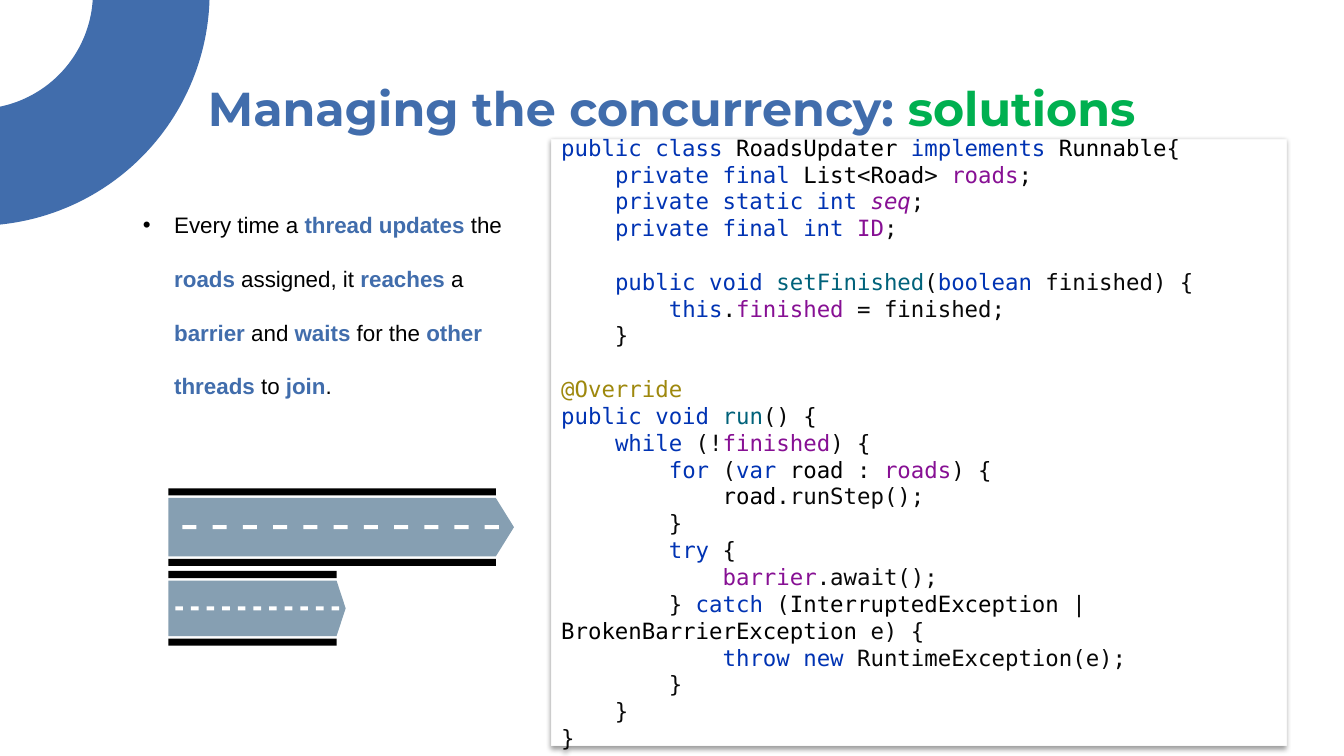
from lxml import etree
from pptx import Presentation
from pptx.dml.color import RGBColor
from pptx.enum.shapes import MSO_SHAPE
from pptx.enum.text import MSO_ANCHOR, PP_ALIGN
from pptx.oxml import parse_xml
from pptx.oxml.ns import nsdecls, qn
from pptx.util import Pt

PX = 4572  # 200 px to the inch
RECTANGLE = MSO_SHAPE.RECTANGLE
BLOCK_ARC = MSO_SHAPE.BLOCK_ARC
MIDDLE = MSO_ANCHOR.MIDDLE
CENTER = PP_ALIGN.CENTER

COLORS = {
    "blue": "416DAC", "green": "00B050", "black": "000000", "white": "FFFFFF",
    "asphalt": "869FB2", "frame": "F9F9F9", "plain": "080808", "keyword": "0033B3",
    "field": "871094", "static": "871094", "method": "00627A", "annotation": "9E880D",
}

# Each block is a list of lines, each line a list of (text, style) runs.
CODE_BLOCKS = [
    [
        [("public class ", "keyword"), ("RoadsUpdater ", "black"),
         ("implements ", "keyword"), ("Runnable", "black"), ("{", "plain")],
        [("    ", "plain"), ("private final ", "keyword"), ("List", "black"), ("<", "plain"),
         ("Road", "black"), ("> ", "plain"), ("roads", "field"), (";", "plain")],
        [("    ", "plain"), ("private static int ", "keyword"), ("seq", "static"), (";", "plain")],
        [("    ", "plain"), ("private final int ", "keyword"), ("ID", "field"), (";", "plain")],
    ],
    [
        [("    ", "plain"), ("public void ", "keyword"), ("setFinished", "method"),
         ("(", "plain"), ("boolean ", "keyword"), ("finished) {", "plain")],
        [("        ", "plain"), ("this", "keyword"), (".", "plain"),
         ("finished ", "field"), ("= finished;", "plain")],
        [("    }", "plain")],
    ],
    [
        [("@Override", "annotation")],
        [("public void ", "keyword"), ("run", "method"), ("() {", "plain")],
        [("    ", "plain"), ("while ", "keyword"), ("(!", "plain"),
         ("finished", "field"), (") {", "plain")],
        [("        ", "plain"), ("for ", "keyword"), ("(", "plain"), ("var ", "keyword"),
         ("road ", "black"), (": ", "plain"), ("roads", "field"), (") {", "plain")],
        [("            ", "plain"), ("road", "black"), (".runStep();", "plain")],
        [("        }", "plain")],
        [("        ", "plain"), ("try ", "keyword"), ("{", "plain")],
        [("            ", "plain"), ("barrier", "field"), (".await();", "plain")],
        [("        } ", "plain"), ("catch ", "keyword"), ("(", "plain"),
         ("InterruptedException ", "black"), ("| ", "plain"),
         ("BrokenBarrierException ", "black"), ("e) {", "plain")],
        [("            ", "plain"), ("throw new ", "keyword"),
         ("RuntimeException(e);", "plain")],
        [("        }", "plain")],
        [("    }", "plain")],
        [("}", "plain")],
    ],
]

BARRIER_NOTE = [
    ("Every time a ", "black"), ("thread updates", "blue"), (" the ", "black"),
    ("roads", "blue"), (" assigned, it ", "black"), ("reaches", "blue"), (" a ", "black"),
    ("barrier", "blue"), (" and ", "black"), ("waits", "blue"), (" for the ", "black"),
    ("other threads", "blue"), (" to ", "black"), ("join", "blue"), (".", "black"),
]


def rgb(name):
    return RGBColor.from_string(COLORS[name])


def emu(*lengths):
    return [length * PX for length in lengths]


def paint(shape, color):
    """Give a shape a flat fill with neither line nor shadow."""
    shape.shadow.inherit = False
    shape.fill.solid()
    shape.fill.fore_color.rgb = rgb(color)
    shape.line.fill.background()


def add_block(shapes, kind, box, color):
    shape = shapes.add_shape(kind, *emu(*box))
    paint(shape, color)
    return shape


def add_run(paragraph, text, color, font_name, size, bold=False, italic=False):
    run = paragraph.add_run()
    run.text = text
    run.font.name = font_name
    run.font.size = Pt(size)
    run.font.bold = bold
    run.font.italic = italic
    run.font.color.rgb = rgb(color)


def add_corner_arc(slide, box):
    arc = add_block(slide.shapes, BLOCK_ARC, box, "blue")
    arc.adjustments[0] = 0
    arc.adjustments[1] = 54  # quarter turn, in 100000ths of 1/60000 degree
    arc.adjustments[2] = 0.25


def add_title(slide, box):
    frame = slide.shapes.add_textbox(*emu(*box)).text_frame
    frame.word_wrap = True
    frame.vertical_anchor = MIDDLE
    paragraph = frame.paragraphs[0]
    paragraph.alignment = CENTER
    for text, color in [("Managing the concurrency: ", "blue"), ("solutions", "green")]:
        add_run(paragraph, text, color, "Montserrat", 34, bold=True)


def add_barrier_note(slide, box):
    frame = slide.shapes.add_textbox(*emu(*box)).text_frame
    frame.word_wrap = True
    paragraph = frame.paragraphs[0]
    paragraph.line_spacing = 2.0
    properties = paragraph._p.get_or_add_pPr()
    properties.set("marL", str(62 * PX))
    properties.set("indent", str(-62 * PX))
    bullet_color = etree.SubElement(properties, qn("a:buClr"))
    etree.SubElement(bullet_color, qn("a:srgbClr")).set("val", COLORS["black"])
    etree.SubElement(properties, qn("a:buFont")).set("typeface", "Arial")
    etree.SubElement(properties, qn("a:buChar")).set("char", "•")
    for text, color in BARRIER_NOTE:
        add_run(paragraph, text, color, "Arial", 16, bold=color == "blue")


def add_soft_shadow(shape):
    effects = shape._element.spPr.find(qn("a:effectLst"))
    effects.append(parse_xml(
        f'<a:outerShdw {nsdecls("a")} blurRad="39370" dist="20320" dir="5400000" rotWithShape="0">'
        f'<a:srgbClr val="{COLORS["black"]}"><a:alpha val="38000"/></a:srgbClr></a:outerShdw>'))


def add_code_panel(slide, box):
    panel = add_block(slide.shapes, RECTANGLE, box, "white")
    panel.line.color.rgb = rgb("frame")
    panel.line.width = Pt(0.75)
    add_soft_shadow(panel)
    frame = panel.text_frame
    frame.word_wrap = True
    frame.vertical_anchor = MIDDLE
    for block_index, block in enumerate(CODE_BLOCKS):
        paragraph = frame.add_paragraph() if block_index else frame.paragraphs[0]
        paragraph.alignment = PP_ALIGN.LEFT
        if block_index:
            paragraph.space_before = Pt(19)
        for line_index, line in enumerate(block):
            if line_index:
                paragraph.add_line_break()
            for text, style in line:
                add_run(paragraph, text, style, "DejaVu Sans Mono", 16, italic=style == "static")


def add_road(slide, box, tip, dash_margin, dash_width, dash_step):
    """Draw a road ending in a point, with an edge on each side and a dashed centre line."""
    left, top, width, height = box
    edge, gap, dash_height, dash_count = 14, 5, 8, 11
    shapes = slide.shapes.add_group_shape().shapes
    shoulder = left + width - tip
    surface_top = top + edge + gap
    surface_bottom = top + height - edge - gap
    middle = top + height // 2
    builder = shapes.build_freeform(left, surface_top, scale=PX)
    builder.add_line_segments([(left, surface_bottom), (shoulder, surface_bottom),
                               (left + width, middle), (shoulder, surface_top)])
    paint(builder.convert_to_shape(), "asphalt")
    for edge_top in (top, top + height - edge):
        add_block(shapes, RECTANGLE, (left, edge_top, width - tip, edge), "black")
    for index in range(dash_count):
        dash_left = left + dash_margin + index * dash_step
        dash_box = (dash_left, middle - dash_height // 2, dash_width, dash_height)
        add_block(shapes, RECTANGLE, dash_box, "white")


def main():
    presentation = Presentation()
    presentation.slide_width, presentation.slide_height = emu(2667, 1500)
    slide = presentation.slides.add_slide(presentation.slide_layouts[6])
    add_corner_arc(slide, (-510, -478, 926, 926))
    add_title(slide, (210, 130, 2246, 168))
    add_barrier_note(slide, (264, 356, 778, 434))
    add_code_panel(slide, (1094, 276, 1458, 1204))
    add_road(slide, (334, 969, 686, 154), 36, 28, 28, 60)
    add_road(slide, (334, 1133, 352, 148), 18, 14, 15, 31)
    presentation.save("out.pptx")


if __name__ == "__main__":
    main()
